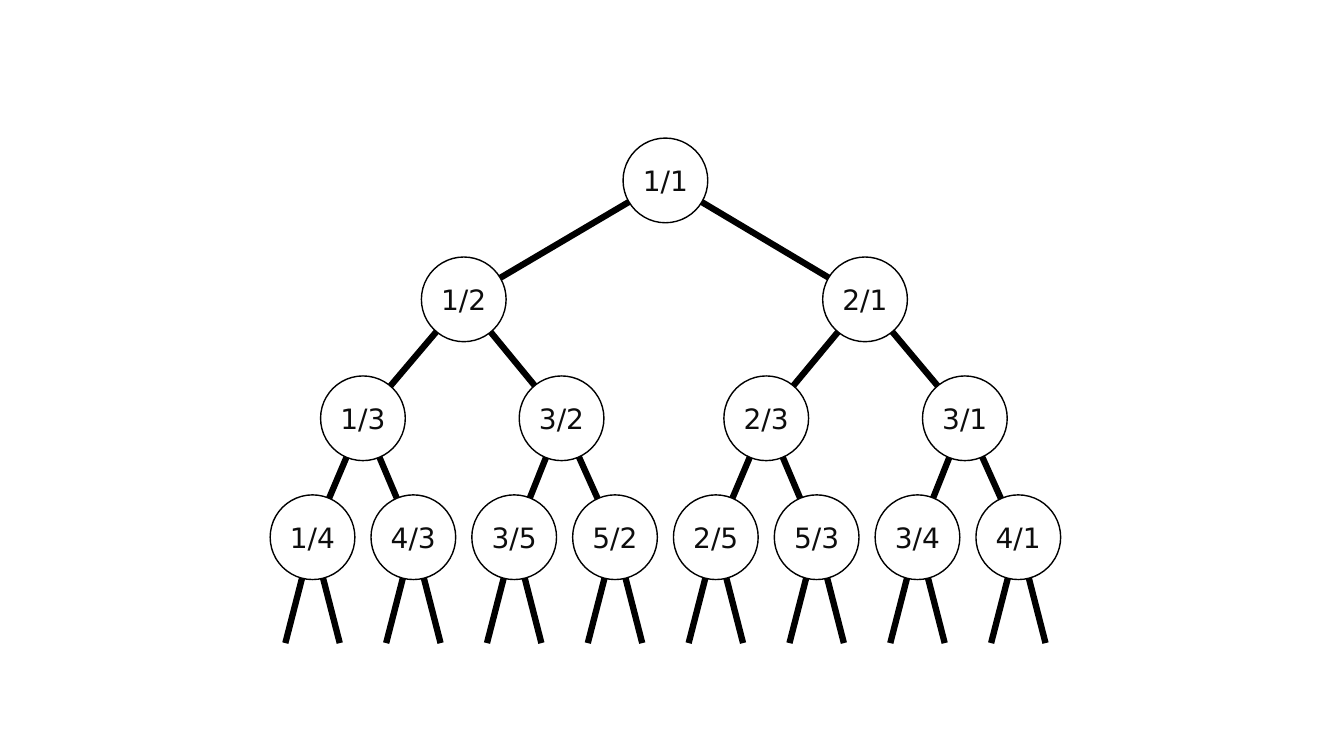
from lxml import etree
from pptx import Presentation
from pptx.dml.color import RGBColor
from pptx.enum.shapes import MSO_CONNECTOR, MSO_SHAPE
from pptx.enum.text import MSO_ANCHOR, PP_ALIGN
from pptx.oxml.ns import qn
from pptx.util import Inches, Pt

TREE = [
    [("1/1", 3.5)],
    [("1/2", 1.5), ("2/1", 5.48)],
    [("1/3", 0.5), ("3/2", 2.47), ("2/3", 4.5), ("3/1", 6.47)],
    [(name, col) for col, name in enumerate(
        ["1/4", "4/3", "3/5", "5/2", "2/5", "5/3", "3/4", "4/1"])],
]
LEFT, TOP, ROW = 3.1, 1.79, 1.18
SIZE, STUB, DROP = 0.84, 0.27, 1.05
FONT = "DejaVu Sans"
BLACK = RGBColor(0, 0, 0)
WHITE = RGBColor(255, 255, 255)
INK = RGBColor(13, 13, 13)
OVAL = MSO_SHAPE.OVAL
STRAIGHT = MSO_CONNECTOR.STRAIGHT
MIDDLE = MSO_ANCHOR.MIDDLE
CENTER = PP_ALIGN.CENTER

deck = Presentation()
deck.slide_width, deck.slide_height = Inches(13.33), Inches(7.5)
slide = deck.slides.add_slide(deck.slide_layouts[6])


def place(row, i):
    return LEFT + TREE[row][i][1], TOP + row * ROW


def branch(start, end):
    line = slide.shapes.add_connector(STRAIGHT, *map(Inches, start + end))
    line.line.color.rgb = BLACK
    line.line.width = Pt(4.5)
    etree.SubElement(line._element.spPr, qn("a:effectLst"))


def node(text, x, y):
    disc = slide.shapes.add_shape(
        OVAL, Inches(x - SIZE / 2), Inches(y - SIZE / 2), Inches(SIZE), Inches(SIZE))
    disc.shadow.inherit = False
    disc.fill.solid()
    disc.fill.fore_color.rgb = WHITE
    disc.line.color.rgb = BLACK
    disc.line.width = Pt(1)
    frame = disc.text_frame
    frame.word_wrap = False
    frame.vertical_anchor = MIDDLE
    para = frame.paragraphs[0]
    para.alignment = CENTER
    run = para.add_run()
    run.text = text
    run.font.name = FONT
    run.font.size = Pt(20)
    run.font.color.rgb = INK


last = len(TREE) - 1
for row, level in enumerate(TREE):
    for i in range(len(level)):
        x, y = place(row, i)
        for side in (0, 1):
            if row < last:
                end = place(row + 1, 2 * i + side)
            else:
                end = (x + (2 * side - 1) * STUB, y + DROP)
            branch((x, y), end)

for row, level in enumerate(TREE):
    for i, (text, _) in enumerate(level):
        node(text, *place(row, i))

deck.save("out.pptx")
